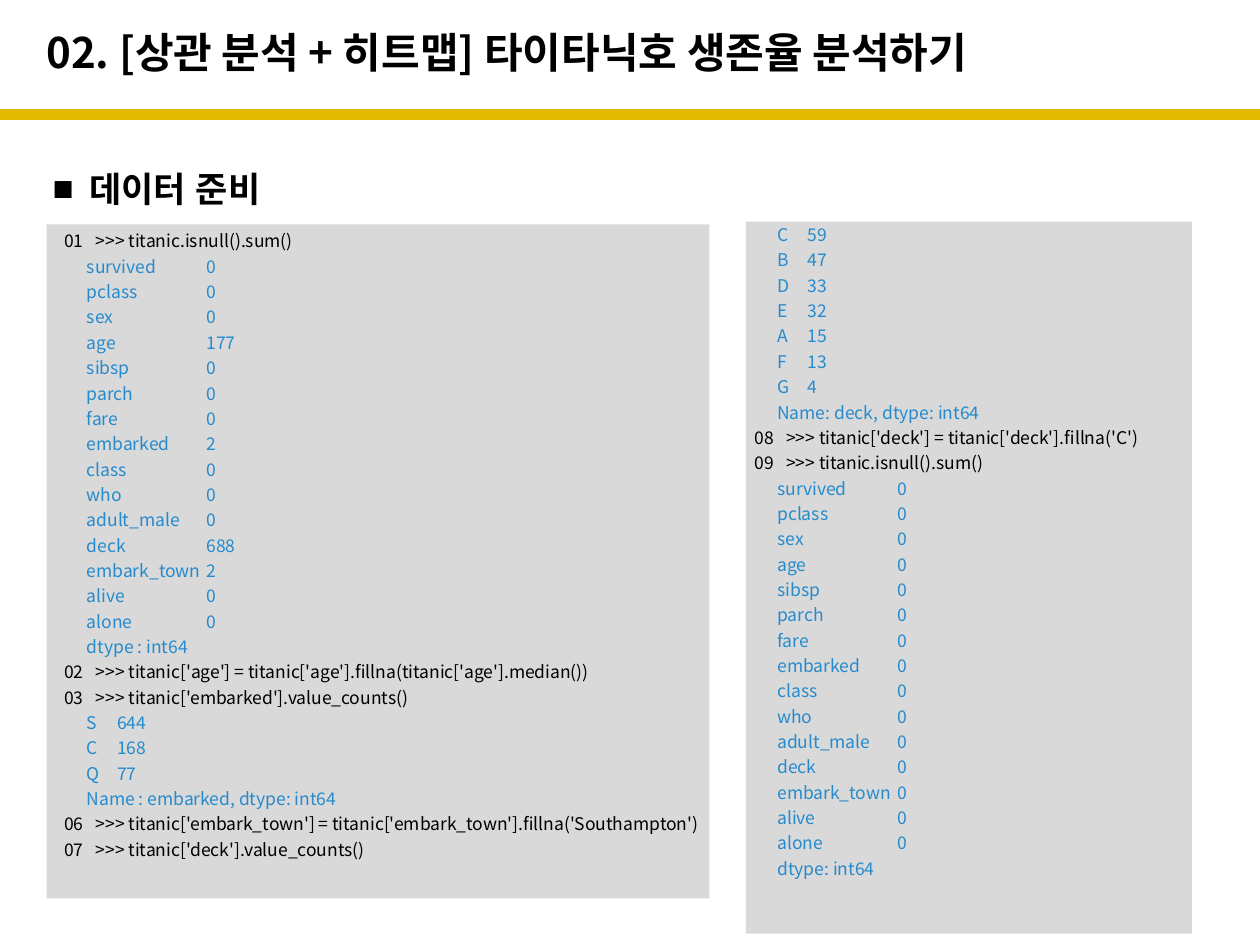
import pptx
import pptx.util
import pptx.dml.color
import pptx.enum.text
import pptx.enum.shapes
import pptx.oxml
import pptx.oxml.ns
import lxml.etree
from dataclasses import dataclass


@dataclass(frozen=True)
class Theme:
    black: str = "000000"
    output: str = "258BCD"
    panel: str = "D9D9D9"
    rule: str = "E4B902"
    sans: str = "Noto Sans CJK KR"
    heading_font: str = "Arial"
    title_size: int = 24
    heading_size: int = 20
    code_size: int = 10


theme = Theme()
Inches, Pt = pptx.util.Inches, pptx.util.Pt
qn = pptx.oxml.ns.qn


def color(value):
    return pptx.dml.color.RGBColor.from_string(value)


def add_text(frame, text, size, font=theme.sans, fill=theme.black, bold=False,
             line=None, before=0, after=0, stops=(), bullet=None, hang=0):
    paragraph = frame.paragraphs[0]
    if paragraph.runs:
        paragraph = frame.add_paragraph()
    paragraph.line_spacing = line
    paragraph.space_before, paragraph.space_after = Pt(before), Pt(after)
    properties = paragraph._p.get_or_add_pPr()
    if bullet:
        properties.set("marL", str(Inches(hang)))
        properties.set("indent", str(-Inches(hang)))
        lxml.etree.SubElement(properties, qn("a:buFont")).set("typeface", font)
        lxml.etree.SubElement(properties, qn("a:buChar")).set("char", bullet)
    if stops:
        tabs = lxml.etree.SubElement(properties, qn("a:tabLst"))
        for stop in stops:
            tab = lxml.etree.SubElement(tabs, qn("a:tab"))
            tab.set("pos", str(Inches(stop)))
            tab.set("algn", "l")
    run = paragraph.add_run()
    run.text = text
    run.font.size, run.font.bold, run.font.name = Pt(size), bold, font
    run.font.color.rgb = color(fill)
    east_asian = lxml.etree.SubElement(run._r.get_or_add_rPr(), qn("a:ea"))
    east_asian.set("typeface", font)


presentation = pptx.Presentation()
presentation.slide_width, presentation.slide_height = Inches(10), Inches(7.5)
slide = presentation.slides.add_slide(presentation.slide_layouts[6])

rule = slide.shapes.add_connector(
    pptx.enum.shapes.MSO_CONNECTOR.STRAIGHT,
    0, Inches(0.91), presentation.slide_width, Inches(0.91))
rule.line.color.rgb = color(theme.rule)
rule.line.width = Pt(6)
lxml.etree.SubElement(rule._element.spPr, qn("a:effectLst"))

heading = slide.shapes.add_textbox(Inches(0.32), Inches(1.11), Inches(9.4), Inches(0.65))
heading.text_frame.word_wrap = True
add_text(heading.text_frame, "데이터 준비", theme.heading_size, font=theme.heading_font,
         bold=True, line=1.5, bullet="■", hang=0.29)

title = slide.shapes.add_textbox(Inches(0.27), Inches(0.11), Inches(8.51), Inches(0.6))
title.text_frame.word_wrap = True
title.text_frame.vertical_anchor = pptx.enum.text.MSO_ANCHOR.MIDDLE
add_text(title.text_frame, "02. [상관 분석 + 히트맵] 타이타닉호 생존율 분석하기",
         theme.title_size, bold=True)

columns = ["survived", "pclass", "sex", "age", "sibsp", "parch", "fare", "embarked",
           "class", "who", "adult_male", "deck", "embark_town", "alive", "alone"]
missing = {"age": 177, "embarked": 2, "deck": 688, "embark_town": 2}
missing_before = [("null", name, missing.get(name, 0)) for name in columns]
missing_after = [("null", name, 0) for name in columns]
ports = [("count", *pair) for pair in [("S", 644), ("C", 168), ("Q", 77)]]
decks = [("count", *pair) for pair in zip("CBDEAFG", [59, 47, 33, 32, 15, 13, 4])]

left_lines = [
    ("code", "01", ">>> titanic.isnull().sum()"),
    *missing_before,
    ("note", "dtype : int64"),
    ("code", "02", ">>> titanic['age'] = titanic['age'].fillna(titanic['age'].median())"),
    ("code", "03", ">>> titanic['embarked'].value_counts()"),
    *ports,
    ("note", "Name : embarked, dtype: int64"),
    ("code", "06", ">>> titanic['embark_town'] = titanic['embark_town'].fillna('Southampton')"),
    ("code", "07", ">>> titanic['deck'].value_counts()"),
]
right_lines = [
    *decks,
    ("note", "Name: deck, dtype: int64"),
    ("code", "08", ">>> titanic['deck'] = titanic['deck'].fillna('C')"),
    ("code", "09", ">>> titanic.isnull().sum()"),
    *missing_after,
    ("note", "dtype: int64"),
]

tab_stops = {"code": [0.25], "note": [0.18], "count": [0.18, 0.42], "null": [0.18, 1.13]}
panels = [
    ((0.37, 1.78, 5.26, 5.35), (0.51, 1.78, 5.4, 5.39), left_lines),
    ((5.92, 1.76, 3.54, 5.65), (5.99, 1.73, 3.9, 5.4), right_lines),
]
for panel_area, text_area, lines in panels:
    panel = slide.shapes.add_shape(
        pptx.enum.shapes.MSO_SHAPE.RECTANGLE, *map(Inches, panel_area))
    panel.shadow.inherit = False
    panel.fill.solid()
    panel.fill.fore_color.rgb = color(theme.panel)
    panel.line.fill.background()

    listing = slide.shapes.add_textbox(*map(Inches, text_area))
    frame = listing.text_frame
    frame.word_wrap = True
    frame.margin_left = frame.margin_right = 0
    for kind, *cells in lines:
        is_code = kind == "code"
        text = "\t".join(map(str, cells))
        add_text(frame, text if is_code else "\t" + text, theme.code_size,
                 fill=theme.black if is_code else theme.output,
                 line=Pt(12), before=1.5, after=1, stops=tab_stops[kind])

presentation.save("out.pptx")
